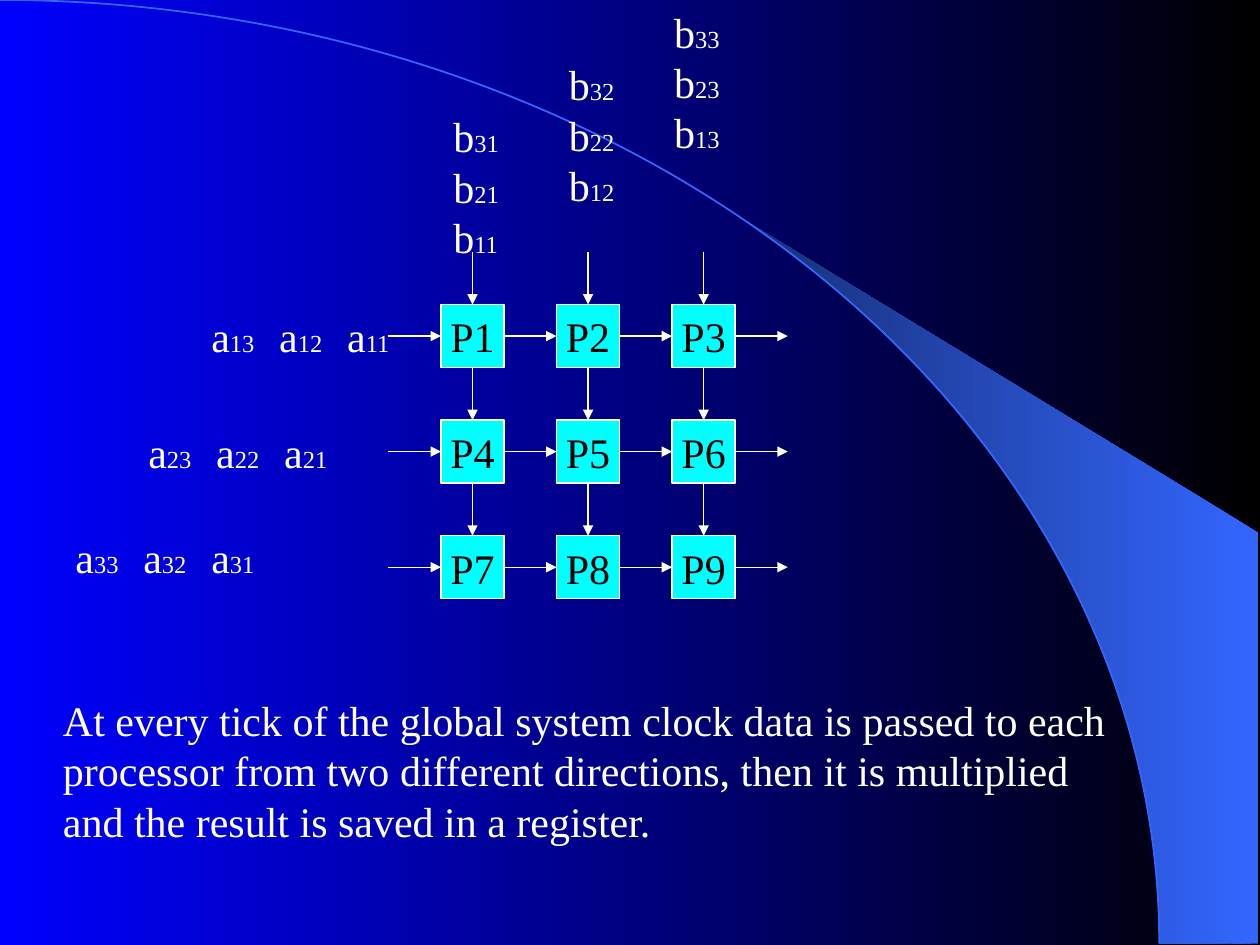
from dataclasses import dataclass
from math import cos, radians, sin

from lxml import etree
from pptx import Presentation
from pptx.dml.color import RGBColor
from pptx.enum.dml import MSO_FILL
from pptx.enum.shapes import MSO_CONNECTOR, MSO_SHAPE
from pptx.enum.text import MSO_ANCHOR, PP_ALIGN
from pptx.oxml.ns import qn
from pptx.util import Cm, Pt

RECTANGLE, ARC = MSO_SHAPE.RECTANGLE, MSO_SHAPE.ARC
STRAIGHT = MSO_CONNECTOR.STRAIGHT
MIDDLE, TOP_ANCHOR = MSO_ANCHOR.MIDDLE, MSO_ANCHOR.TOP
CENTER, LEFT_ALIGN = PP_ALIGN.CENTER, PP_ALIGN.LEFT
GRADIENT = MSO_FILL.GRADIENT
TOP, LEFT, BOTTOM, RIGHT = range(4)


@dataclass(frozen=True)
class Theme:
    font: str = "Times New Roman"
    text: RGBColor = RGBColor(255, 255, 255)
    node_text: RGBColor = RGBColor(0, 0, 0)
    node: RGBColor = RGBColor(0, 255, 255)
    night: RGBColor = RGBColor(0, 0, 0)
    blue: RGBColor = RGBColor(0, 0, 255)
    glow: RGBColor = RGBColor(0x33, 0x66, 0xFF)
    glow_shade: RGBColor = RGBColor(0x17, 0x2F, 0x75)
    size: Pt = Pt(24)
    index_size: Pt = Pt(14)
    leading: Pt = Pt(28.8)
    thin: Pt = Pt(0.75)
    horizon: Pt = Pt(1)


THEME = Theme()
SLIDE_WIDTH, SLIDE_HEIGHT = 25.4, 19.05
GRID_LEFT, GRID_TOP = 8.89, 6.14
NODE_SIDE, GAP = 1.27, 1.06
PITCH = NODE_SIDE + GAP
ORDER = range(3)
INDEX_STEP = 1.37
HORIZON_X, HORIZON_Y = 23.37, 19.02
GLOW_START = 39.8
GLOW_STEPS = 24
ROW_INPUTS = [(4.01, 6.14), (2.74, 8.47), (1.27, 10.58)]
COLUMN_INPUTS = [(8.89, 2.11), (11.22, 1.06), (13.34, 0)]
CAPTION = [
    "At every tick of the global system clock data is passed to each",
    "processor from two different directions, then it is multiplied",
    "and the result is saved in a register.",
]


def apply_format(target, values):
    for attribute, value in values.items():
        setattr(target, attribute, value)


def fill_gradient(fill, *colors):
    fill.gradient()
    assert fill.type == GRADIENT
    fill.gradient_angle = 180
    for stop, color in zip(fill.gradient_stops, colors):
        stop.color.rgb = color


def write_lines(frame, lines, color, align=LEFT_ALIGN, anchor=TOP_ANCHOR, wrap=True):
    apply_format(frame, {"word_wrap": wrap, "vertical_anchor": anchor})
    for number, pieces in enumerate(lines):
        line = frame.add_paragraph() if number else frame.paragraphs[0]
        apply_format(line, {"alignment": align, "line_spacing": THEME.leading})
        for words, size in pieces:
            run = line.add_run()
            run.text = words
            apply_format(run.font, {"name": THEME.font, "size": size})
            run.font.color.rgb = color


def add_label(slide, left, top, width, height, lines):
    label = slide.shapes.add_textbox(Cm(left), Cm(top), Cm(width), Cm(height))
    write_lines(label.text_frame, lines, THEME.text)
    return label.text_frame


def set_tabs(line, positions):
    tabs = etree.SubElement(line._p.get_or_add_pPr(), qn("a:tabLst"))
    for position in positions:
        etree.SubElement(tabs, qn("a:tab"), pos=str(Cm(position)), algn="l")


def add_glow(slide):
    angles = [
        radians(GLOW_START + (90 - GLOW_START) * step / GLOW_STEPS)
        for step in range(GLOW_STEPS + 1)
    ]
    edge = [(HORIZON_X * sin(t), HORIZON_Y * (1 - cos(t))) for t in angles]
    outline = [(Cm(x), Cm(y)) for x, y in [(25.37, HORIZON_Y), (25.37, 10.74), *edge]]
    builder = slide.shapes.build_freeform(*outline[0])
    builder.add_line_segments(outline[1:], close=True)
    glow = builder.convert_to_shape()
    glow.shadow.inherit = False
    fill_gradient(glow.fill, THEME.glow, THEME.glow_shade)
    glow.line.fill.background()


def add_horizon(slide):
    horizon = slide.shapes.add_shape(
        ARC, Cm(-HORIZON_X), Cm(0), Cm(2 * HORIZON_X), Cm(2 * HORIZON_Y)
    )
    horizon.shadow.inherit = False
    horizon.fill.background()
    horizon.line.color.rgb = THEME.glow
    horizon.line.width = THEME.horizon


def add_processor(slide, row, column):
    processor = slide.shapes.add_shape(
        RECTANGLE,
        Cm(GRID_LEFT + column * PITCH),
        Cm(GRID_TOP + row * PITCH),
        Cm(NODE_SIDE),
        Cm(NODE_SIDE),
    )
    processor.shadow.inherit = False
    processor.fill.solid()
    processor.fill.fore_color.rgb = THEME.node
    processor.line.color.rgb = THEME.text
    processor.line.width = THEME.thin
    name = f"P{row * len(ORDER) + column + 1}"
    write_lines(
        processor.text_frame, [[(name, THEME.size)]], THEME.node_text, CENTER, MIDDLE, False
    )
    return processor


def add_arrow(slide, start, end, source=None, target=None, sides=(RIGHT, LEFT)):
    arrow = slide.shapes.add_connector(STRAIGHT, *map(Cm, (*start, *end)))
    if source is not None:
        arrow.begin_connect(source, sides[0])
    if target is not None:
        arrow.end_connect(target, sides[1])
    arrow.line.color.rgb = THEME.text
    arrow.line.width = THEME.thin
    etree.SubElement(arrow.line._get_or_add_ln(), qn("a:tailEnd"), type="triangle")
    etree.SubElement(arrow._element.spPr, qn("a:effectLst"))


def add_flows(slide, processors):
    for lane in ORDER:
        y = GRID_TOP + lane * PITCH + NODE_SIDE / 2
        x = GRID_LEFT + lane * PITCH + NODE_SIDE / 2
        for step in range(len(ORDER) + 1):
            end = GRID_LEFT + step * PITCH
            add_arrow(
                slide, (end - GAP, y), (end, y),
                processors.get((lane, step - 1)), processors.get((lane, step)),
            )
        for step in ORDER:
            end = GRID_TOP + step * PITCH
            add_arrow(
                slide, (x, end - GAP), (x, end),
                processors.get((step - 1, lane)), processors[step, lane], (BOTTOM, TOP),
            )


def add_inputs(slide):
    for row, (left, top) in enumerate(ROW_INPUTS, 1):
        pieces = []
        for column in (3, 2, 1):
            tab = "\t" if column > 1 else ""
            pieces += [("a", THEME.size), (f"{row}{column}{tab}", THEME.index_size)]
        entries = add_label(slide, left, top, 4.5, 1.27, [pieces])
        set_tabs(entries.paragraphs[0], [INDEX_STEP, 2 * INDEX_STEP])
    for column, (left, top) in enumerate(COLUMN_INPUTS, 1):
        lines = [
            [("b", THEME.size), (f"{row}{column}", THEME.index_size)] for row in (3, 2, 1)
        ]
        add_label(slide, left, top, 1.6, 3.3, lines)


def main():
    deck = Presentation()
    apply_format(deck, {"slide_width": Cm(SLIDE_WIDTH), "slide_height": Cm(SLIDE_HEIGHT)})
    slide = deck.slides.add_slide(deck.slide_layouts[6])
    fill_gradient(slide.background.fill, THEME.night, THEME.blue)
    add_glow(slide)
    add_horizon(slide)
    processors = {
        (row, column): add_processor(slide, row, column) for row in ORDER for column in ORDER
    }
    add_flows(slide, processors)
    add_inputs(slide)
    add_label(slide, 1.02, 13.87, 22, 3.3, [[(line, THEME.size)] for line in CAPTION])
    deck.save("out.pptx")


if __name__ == "__main__":
    main()
